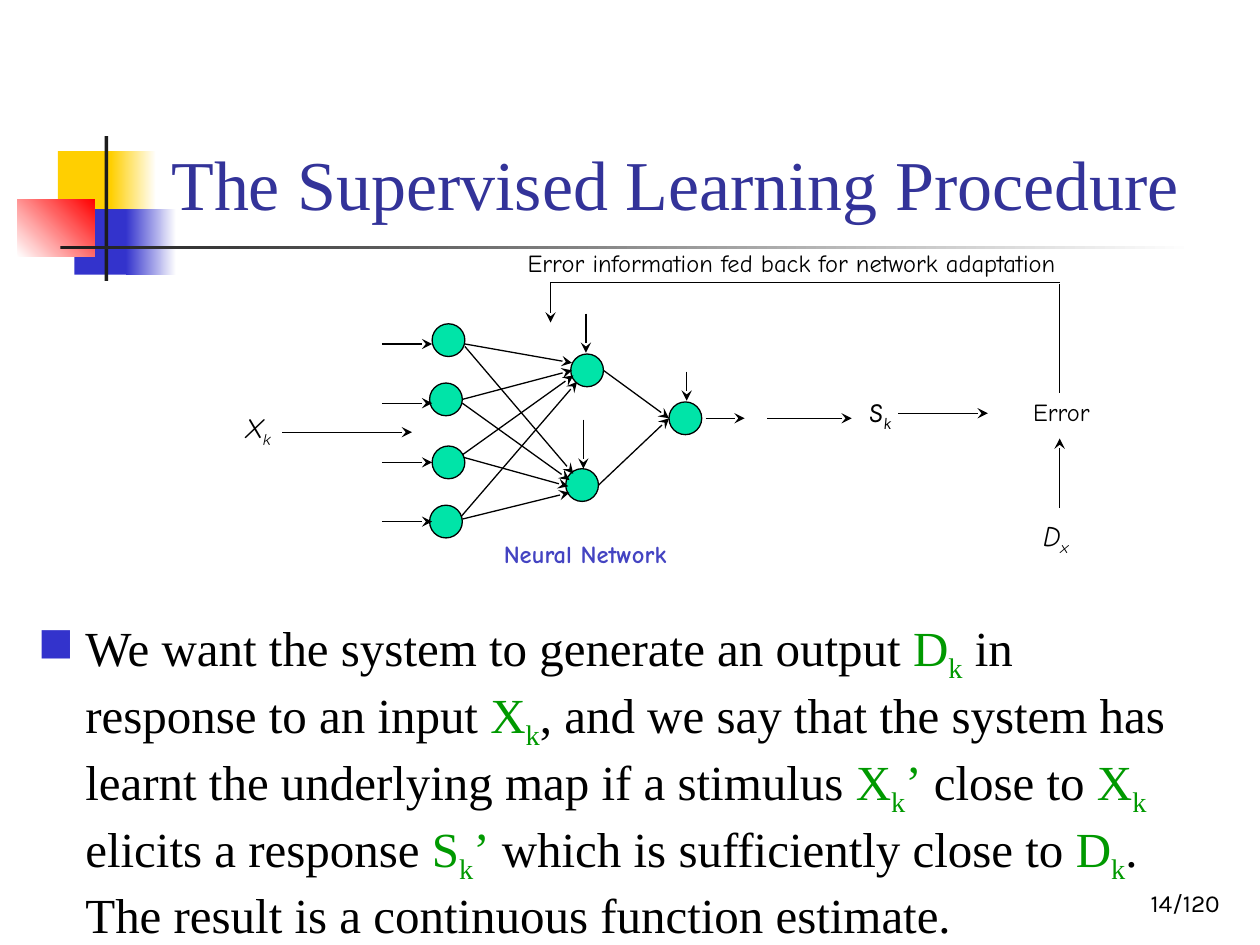
from lxml import etree
from pptx import Presentation
from pptx.dml.color import RGBColor
from pptx.enum.shapes import MSO_CONNECTOR, MSO_SHAPE as SHAPE
from pptx.enum.text import MSO_ANCHOR as ANCHOR, PP_ALIGN as ALIGN
from pptx.oxml.ns import qn
from pptx.util import Inches, Pt

BLACK = RGBColor(0x00, 0x00, 0x00)
WHITE = RGBColor(0xFF, 0xFF, 0xFF)
YELLOW = RGBColor(0xFF, 0xCF, 0x01)
BLUE = RGBColor(0x33, 0x33, 0xCC)
RED = RGBColor(0xFF, 0x00, 0x00)
CHARCOAL = RGBColor(0x1C, 0x1C, 0x1C)
NAVY = RGBColor(0x33, 0x33, 0x99)
VIOLET = RGBColor(0x44, 0x44, 0xC2)
GREEN = RGBColor(0x00, 0x99, 0x00)
MINT = RGBColor(0x00, 0xE4, 0xA8)

SERIF, HAND, SANS = "Times New Roman", "Comic Neue", "Karla"
NODE_SIZE = 0.26

DECORATION = [  # left, top, width, height, colours, gradient angle
    (0.46, 1.2, 0.48, 0.52, (YELLOW,), 0),
    (0.88, 1.2, 0.36, 0.52, (YELLOW, WHITE), 0),
    (0.59, 1.66, 0.46, 0.52, (BLUE,), 0),
    (1, 1.66, 0.4, 0.52, (BLUE, WHITE), 0),
    (0.14, 1.58, 0.61, 0.46, (WHITE, RED), 45),
    (0.83, 1.08, 0.03, 1.15, (CHARCOAL,), 0),
    (0.48, 1.95, 9, 0.03, (CHARCOAL, WHITE), 0),
]
NODES = [(3.43, 2.57), (3.41, 3.04), (3.43, 3.54), (3.41, 4.01),
         (4.53, 2.81), (4.49, 3.72), (5.31, 3.19)]
FEEDBACK_LINES = [(4.37, 2.24, 8.41, 2.24), (8.41, 2.25, 8.41, 3.12)]
INPUT_ARROWS = [(3.03, y, 3.43, y) for y in (2.73, 3.2, 3.67, 4.14)]
SIGNAL_ARROWS = [
    (4.37, 2.24, 4.37, 2.56), (8.41, 4.03, 8.41, 3.48),
    (2.24, 3.43, 3.27, 3.43), (5.6, 3.32, 5.91, 3.32),
    (6.09, 3.32, 6.76, 3.32), (7.13, 3.28, 7.84, 3.28),
]
BIAS_ARROWS = [(4.65, 2.49, 4.65, 2.8), (4.63, 3.33, 4.63, 3.72),
               (5.45, 2.95, 5.45, 3.18)]
WEIGHT_ARROWS = [
    (3.69, 2.73, 4.54, 2.88), (3.69, 2.75, 4.55, 3.76),
    (3.67, 3.17, 4.54, 2.94), (3.67, 3.2, 4.52, 3.81),
    (3.67, 3.61, 4.55, 2.98), (3.68, 3.63, 4.51, 3.86),
    (3.66, 4.1, 4.58, 3.03), (3.67, 4.12, 4.52, 3.91),
    (4.79, 2.94, 5.31, 3.32), (4.75, 3.85, 5.31, 3.32),
]
BODY = [
    "We want the system to generate an output ", ("D", "k", ""),
    " in response to an input ", ("X", "k", ""),
    ", and we say that the system has learnt the underlying map if a stimulus ",
    ("X", "k", "’"), " close to ", ("X", "k", ""), " elicits a response ",
    ("S", "k", "’"), " which is sufficiently close to ", ("D", "k", ""),
    ". The result is a continuous function estimate.",
]


def add_run(p, text, font=HAND, size=14, color=BLACK, bold=False,
            italic=False, subscript=False):
    r = p.add_run()
    r.text = text
    r.font.name, r.font.size = font, Pt(size)
    r.font.bold, r.font.italic = bold, italic
    r.font.color.rgb = color
    if subscript:
        r.font._element.set("baseline", "-25000")


def add_symbol(p, base, sub, suffix="", **style):
    """Write a letter with its subscript and an optional prime."""
    add_run(p, base, **style)
    add_run(p, sub, subscript=True, **style)
    if suffix:
        add_run(p, suffix, **style)


def set_bullet(p, char, color, indent):
    pPr = p._p.get_or_add_pPr()
    pPr.set("marL", str(Inches(indent)))
    pPr.set("indent", str(-Inches(indent)))
    clr = etree.SubElement(pPr, qn("a:buClr"))
    etree.SubElement(clr, qn("a:srgbClr"), val=str(color))
    etree.SubElement(pPr, qn("a:buChar"), char=char)


class SlideBuilder:
    def __init__(self, slide, line_color=BLACK, line_width=0.75):
        self.slide = slide
        self.line_color = line_color
        self.line_width = Pt(line_width)

    def title(self, text, x, y, w, h):
        sp = self.slide.shapes.title
        sp.left, sp.top, sp.width, sp.height = map(Inches, (x, y, w, h))
        tf = sp.text_frame
        tf.word_wrap, tf.vertical_anchor = True, ANCHOR.BOTTOM
        p = tf.paragraphs[0]
        p.alignment = ALIGN.LEFT
        add_run(p, text, font=SERIF, size=40, color=NAVY)

    def block(self, x, y, w, h, colors, angle):
        sp = self.slide.shapes.add_shape(SHAPE.RECTANGLE, *map(Inches, (x, y, w, h)))
        sp.shadow.inherit = False
        sp.line.fill.background()
        if len(colors) == 1:
            sp.fill.solid()
            sp.fill.fore_color.rgb = colors[0]
            return
        sp.fill.gradient()
        sp.fill.gradient_angle = angle
        for stop, color in zip(sp.fill.gradient_stops, colors):
            stop.color.rgb = color

    def node(self, x, y):
        sp = self.slide.shapes.add_shape(
            SHAPE.OVAL, *map(Inches, (x, y, NODE_SIZE, NODE_SIZE)))
        sp.shadow.inherit = False
        sp.fill.solid()
        sp.fill.fore_color.rgb = MINT
        sp.line.color.rgb, sp.line.width = self.line_color, self.line_width

    def line(self, x1, y1, x2, y2, arrow=False):
        sp = self.slide.shapes.add_connector(
            MSO_CONNECTOR.STRAIGHT, *map(Inches, (x1, y1, x2, y2)))
        sp.line.color.rgb, sp.line.width = self.line_color, self.line_width
        if arrow:
            etree.SubElement(sp.line._get_or_add_ln(), qn("a:tailEnd"), type="stealth")
        etree.SubElement(sp._element.spPr, qn("a:effectLst"))

    def text_box(self, x, y, w, h, wrap=False, anchor=ANCHOR.TOP, align=ALIGN.LEFT):
        """Add an empty text box and return its first paragraph."""
        sp = self.slide.shapes.add_textbox(*map(Inches, (x, y, w, h)))
        tf = sp.text_frame
        tf.word_wrap, tf.vertical_anchor = wrap, anchor
        p = tf.paragraphs[0]
        p.alignment = align
        return p

    def body(self, parts, x, y, w, h):
        p = self.text_box(x, y, w, h, wrap=True)
        set_bullet(p, "■", BLUE, 0.38)
        for part in parts:
            if isinstance(part, tuple):
                add_symbol(p, *part, font=SERIF, size=28, color=GREEN)
            else:
                add_run(p, part, font=SERIF, size=28)


def main():
    prs = Presentation()
    prs.slide_width, prs.slide_height = Inches(10), Inches(7.5)
    s = SlideBuilder(prs.slides.add_slide(prs.slide_layouts[5]))

    for block in DECORATION:
        s.block(*block)
    page = s.text_box(7.7, 6.83, 2.08, 0.5, wrap=True,
                      anchor=ANCHOR.BOTTOM, align=ALIGN.RIGHT)
    add_run(page, "14/120", font=SANS)
    s.title("The Supervised Learning Procedure", 1.26, 0.23, 8.52, 1.6)
    s.body(BODY, 0.2, 4.85, 9.17, 2.81)

    for node in NODES:
        s.node(*node)
    for ends in FEEDBACK_LINES:
        s.line(*ends)
    for ends in INPUT_ARROWS + SIGNAL_ARROWS + BIAS_ARROWS + WEIGHT_ARROWS:
        s.line(*ends, arrow=True)

    add_run(s.text_box(4.09, 1.92, 4.83, 0.33),
            "Error information fed back for network adaptation")
    add_run(s.text_box(8.1, 3.1, 0.71, 0.33), "Error")
    add_run(s.text_box(3.9, 4.23, 1.7, 0.33), "Neural Network", color=VIOLET, bold=True)
    for base, sub, font, x, y, w in (("S", "k", SANS, 6.79, 3.08, 0.4),
                                     ("D", "x", HAND, 8.18, 4.07, 0.45),
                                     ("X", "k", HAND, 1.85, 3.21, 0.45)):
        add_symbol(s.text_box(x, y, w, 0.37), base, sub, font=font, size=16, italic=True)
    prs.save("out.pptx")


if __name__ == "__main__":
    main()
